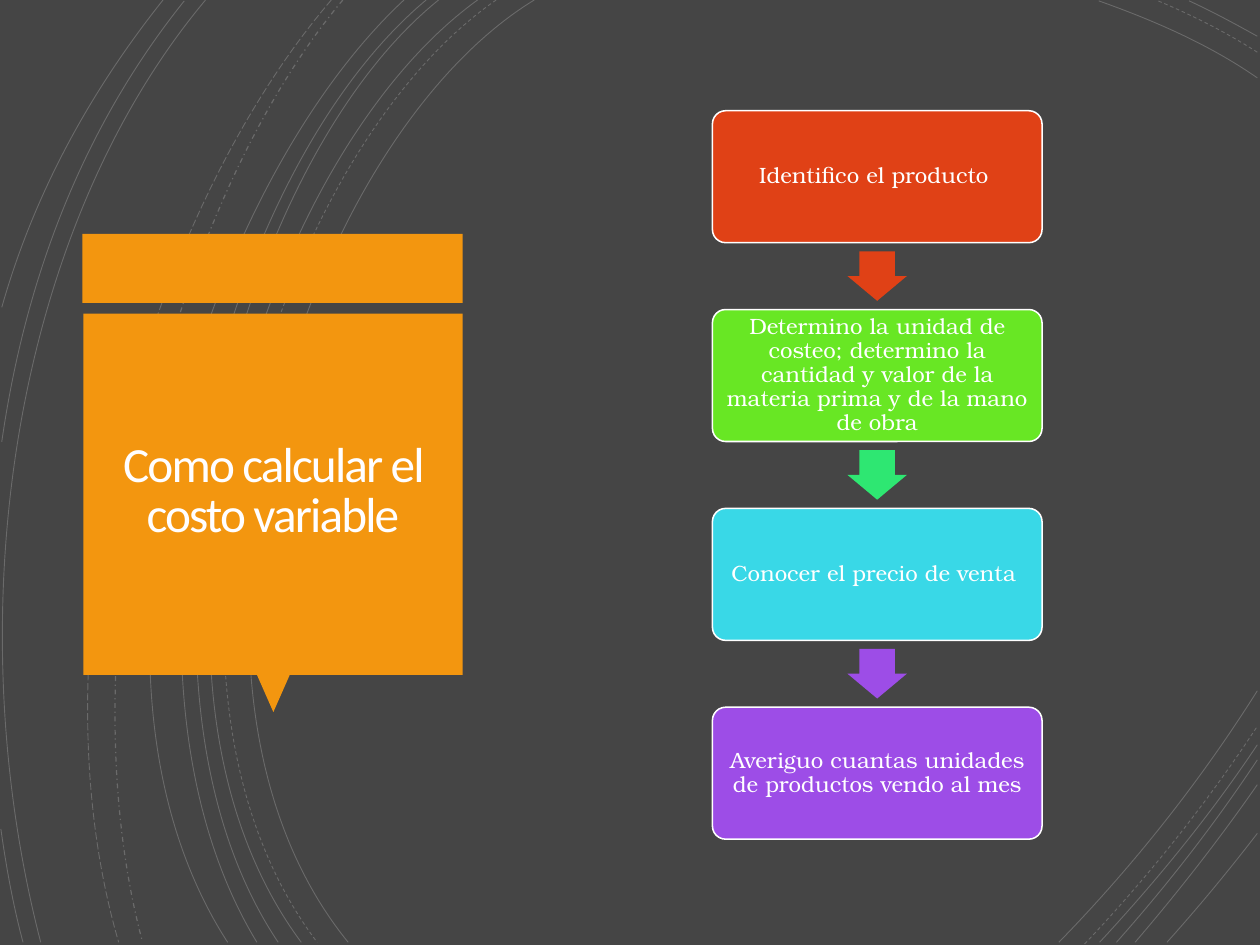
from dataclasses import dataclass

from lxml import etree
from pptx import Presentation
from pptx.dml.color import RGBColor
from pptx.enum.dml import MSO_LINE
from pptx.enum.shapes import MSO_SHAPE
from pptx.enum.text import MSO_ANCHOR, MSO_AUTO_SIZE, PP_ALIGN
from pptx.oxml.ns import qn
from pptx.util import Inches, Pt

SOLID, DASH = MSO_LINE.SOLID, MSO_LINE.DASH
DASH_DOT, LONG_DASH = MSO_LINE.DASH_DOT, MSO_LINE.LONG_DASH
RECT, ROUNDED = MSO_SHAPE.RECTANGLE, MSO_SHAPE.ROUNDED_RECTANGLE
TRIANGLE, DOWN_ARROW = MSO_SHAPE.ISOSCELES_TRIANGLE, MSO_SHAPE.DOWN_ARROW
MIDDLE, CENTER, NO_FIT = MSO_ANCHOR.MIDDLE, PP_ALIGN.CENTER, MSO_AUTO_SIZE.NONE


@dataclass(frozen=True)
class Theme:
    background: str = "454545"
    line: str = "FFFFFF"
    panel: str = "F3960F"
    title_text: str = "FFFEFF"
    step_text: str = "FFFFFF"
    title_font: str = "Calibri"
    step_font: str = "TeX Gyre Bonum"
    title_size: float = 40
    step_size: float = 18
    curve_alpha: int = 20


@dataclass(frozen=True)
class Curve:
    """A cubic arc: start, two control points and end, in inches."""
    points: tuple
    dash: int = SOLID
    width: float = 0.75


@dataclass(frozen=True)
class Step:
    text: str
    fill: str
    arrow: str = ""


THEME = Theme()

CURVES = [
    Curve(((6.03, 0), (3.36, 1.63), (1.52, 7.68), (3.93, 10.64))),
    Curve(((14.19, 0.88), (13.63, 0.49), (12.99, 0.22), (12.4, 0.01))),
    Curve(((11.95, 10.64), (12.76, 9.81), (13.53, 8.85), (14.19, 7.8))),
    Curve(((5.6, 0), (3.04, 1.77), (1.31, 7.64), (3.58, 10.64)), DASH),
    Curve(((14.19, 0.59), (13.83, 0.36), (13.45, 0.17), (13.07, 0.01)), DASH),
    Curve(((12.24, 10.66), (12.94, 9.92), (13.6, 9.1), (14.19, 8.2)), DASH),
    Curve(((5.39, 0), (2.88, 1.81), (1.17, 7.64), (3.4, 10.64))),
    Curve(((14.19, 0.41), (13.94, 0.27), (13.68, 0.13), (13.42, 0.01))),
    Curve(((12.41, 10.64), (13.04, 9.96), (13.65, 9.22), (14.19, 8.41))),
    Curve(((4.95, 0), (2.6, 1.89), (1.17, 7.7), (3.14, 10.64))),
    Curve(((12.6, 10.64), (13.16, 10.01), (13.7, 9.32), (14.19, 8.58))),
    Curve(((4.81, 0), (2.46, 1.96), (1.04, 7.58), (2.9, 10.64))),
    Curve(((12.81, 10.64), (13.29, 10.08), (13.76, 9.48), (14.19, 8.86))),
    Curve(((4.56, 0), (2.32, 2.08), (0.56, 7.53), (2.57, 10.64))),
    Curve(((13.17, 10.64), (13.52, 10.25), (13.86, 9.84), (14.19, 9.41))),
    Curve(((3.87, 0), (1.88, 2.37), (0.7, 7.24), (1.61, 10.64)), DASH_DOT, 1),
    Curve(((3.74, 0), (1.68, 2.4), (0.31, 7.1), (1.34, 10.64)), LONG_DASH),
    Curve(((2.32, 0), (0.12, 2.63), (-0.49, 6.97), (0.46, 10.64))),
    Curve(((2.08, 0.01), (0.99, 1.37), (0.3, 3.04), (0.02, 4.99))),
    Curve(((0.01, 9.36), (0.07, 9.79), (0.15, 10.23), (0.26, 10.64))),
    Curve(((1.84, 0), (1.06, 0.98), (0.4, 2.13), (0.02, 3.47))),
]

STEPS = [
    Step("Identifico el producto ", "E04116", "E04116"),
    Step("Determino la unidad de costeo; determino la cantidad y valor de la "
         "materia prima y de la mano de obra", "68E724", "2EE772"),
    Step("Conocer el precio de venta ", "39D8E7", "9D4DE7"),
    Step("Averiguo cuantas unidades de productos vendo al mes", "9D4DE7"),
]
STEP_LEFT, STEP_TOP, STEP_W, STEP_H = 8.04, 1.25, 3.72, 1.49
ARROW_W, ARROW_H = 0.67, 0.56
STEP_GAP = 0.755


def rgb(value: str) -> RGBColor:
    return RGBColor.from_string(value)


def add_curve(s, curve: Curve) -> None:
    """Lay segments through the control points, then merge them into one arc."""
    start, *rest = [(Inches(x), Inches(y)) for x, y in curve.points]
    builder = s.shapes.build_freeform(*start)
    builder.add_line_segments(rest, close=False)
    sp = builder.convert_to_shape()
    segments = sp.element.xpath(".//a:lnTo")
    bezier = etree.SubElement(segments[0].getparent(), qn("a:cubicBezTo"))
    for segment in segments:
        bezier.append(segment[0])
        segment.getparent().remove(segment)
    sp.shadow.inherit = False
    sp.fill.background()
    sp.line.color.rgb = rgb(THEME.line)
    sp.line.width = Pt(curve.width)
    sp.line.dash_style = curve.dash
    color = sp.element.xpath(".//a:ln//a:srgbClr")[0]
    etree.SubElement(color, qn("a:alpha"), val=str(THEME.curve_alpha * 1000))


def add_block(s, kind: int, left: float, top: float, width: float,
              height: float, fill: str):
    """Add a filled preset shape without line or shadow."""
    sp = s.shapes.add_shape(kind, Inches(left), Inches(top),
                            Inches(width), Inches(height))
    sp.shadow.inherit = False
    sp.fill.solid()
    sp.fill.fore_color.rgb = rgb(fill)
    sp.line.fill.background()
    return sp


def set_text(sp, text: str, font: str, size: float, color: str,
             spacing: float, inset: float) -> None:
    tf = sp.text_frame
    tf.text = text
    tf.word_wrap = True
    tf.auto_size = NO_FIT
    tf.vertical_anchor = MIDDLE
    tf.margin_left = tf.margin_right = Inches(inset)
    tf.margin_top = tf.margin_bottom = Inches(inset)
    p = tf.paragraphs[0]
    p.alignment = CENTER
    p.line_spacing = spacing
    r = p.runs[0]
    r.font.name = font
    r.font.size = Pt(size)
    r.font.color.rgb = rgb(color)


def add_title_panel(s) -> None:
    add_block(s, RECT, 0.93, 2.64, 4.29, 0.78, THEME.panel)
    pointer = add_block(s, TRIANGLE, 2.9, 7.62, 0.37, 0.42, THEME.panel)
    pointer.rotation = 180
    add_block(s, RECT, 0.94, 3.54, 4.28, 4.08, THEME.panel)
    title = s.shapes.title
    title.left, title.top = Inches(1.04), Inches(3.65)
    title.width, title.height = Inches(4.08), Inches(3.82)
    set_text(title, "Como calcular el costo variable", THEME.title_font,
             THEME.title_size, THEME.title_text, 0.85, 0.25)
    title.element.xpath(".//a:rPr")[0].set("spc", "-150")
    title.element.getparent().append(title.element)  # in front of the panel


def add_steps(s) -> None:
    for i, step in enumerate(STEPS):
        top = STEP_TOP + i * (STEP_H + STEP_GAP)
        box = add_block(s, ROUNDED, STEP_LEFT, top, STEP_W, STEP_H, step.fill)
        box.adjustments[0] = 0.1
        box.line.color.rgb = rgb(THEME.line)
        box.line.width = Pt(1.25)
        set_text(box, step.text, THEME.step_font, THEME.step_size,
                 THEME.step_text, 0.9, 0.07)
        if step.arrow:
            arrow = add_block(s, DOWN_ARROW, STEP_LEFT + (STEP_W - ARROW_W) / 2,
                              top + STEP_H + (STEP_GAP - ARROW_H) / 2,
                              ARROW_W, ARROW_H, step.arrow)
            arrow.adjustments[0] = 0.6
            arrow.adjustments[1] = 0.5


def main() -> None:
    prs = Presentation()
    prs.slide_width, prs.slide_height = Inches(14.22), Inches(10.67)
    s = prs.slides.add_slide(prs.slide_layouts.get_by_name("Title Only"))
    s.background.fill.solid()
    s.background.fill.fore_color.rgb = rgb(THEME.background)
    for curve in CURVES:
        add_curve(s, curve)
    add_title_panel(s)
    add_steps(s)
    prs.save("out.pptx")


if __name__ == "__main__":
    main()
